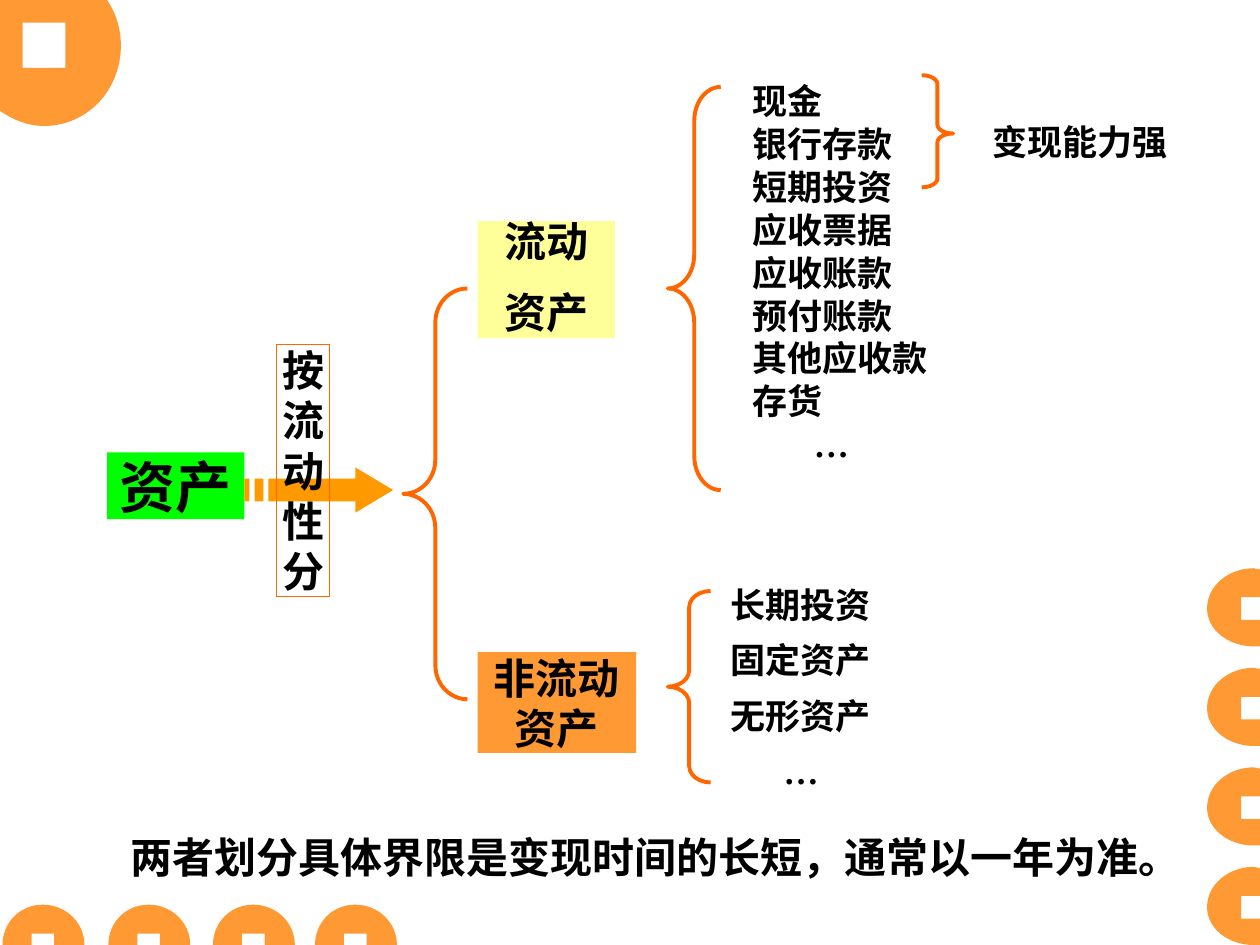
from pptx import Presentation
from pptx.dml.color import RGBColor as RGB
from pptx.enum.shapes import MSO_SHAPE as SHAPE
from pptx.enum.text import MSO_ANCHOR as ANCHOR, MSO_AUTO_SIZE as AUTO, PP_ALIGN as ALIGN
from pptx.oxml.ns import qn
from pptx.util import Inches, Pt

WIDE, HIGH = Inches(10), Inches(7.5)
COL, ROW = WIDE / 100, HIGH / 75
BLACK = RGB(0, 0, 0)
GREEN = RGB(0, 255, 0)
CREAM = RGB(255, 255, 153)
PEACH = RGB(255, 153, 51)
AMBER = RGB(255, 153, 0)
RUST = RGB(255, 102, 0)


def grid(box):
    x, y, w, h = box
    return [round(v) for v in (x * COL, y * ROW, w * COL, h * ROW)]


def part(box, left, top, wide, high):
    return box[0] + left, box[1] + top, wide, high


def paint(shape, fill=None, line=None, weight=0.75):
    shape.shadow.inherit = False
    if fill is None:
        shape.fill.background()
    else:
        shape.fill.solid()
        shape.fill.fore_color.rgb = fill
    if line is None:
        shape.line.fill.background()
    else:
        shape.line.color.rgb = line
        shape.line.width = Pt(weight)
    return shape


def write(shape, lines, size, align=ALIGN.LEFT, space=1.0, gap=0, indents=()):
    frame = shape.text_frame
    frame.word_wrap = True
    frame.auto_size = AUTO.NONE
    frame.vertical_anchor = ANCHOR.TOP
    frame.margin_left = frame.margin_right = 0
    frame.margin_top = frame.margin_bottom = 0
    indents = dict(indents)
    for i, line in enumerate(lines):
        para = frame.paragraphs[0] if i == 0 else frame.add_paragraph()
        para.text = line
        props = para._p.get_or_add_pPr()
        props.set("marL", str(round(indents.get(i, 0) * COL)))
        props.set("indent", "0")
        props.append(props.makeelement(qn("a:buNone"), {}))
        para.alignment = align
        para.line_spacing = space
        para.space_before = Pt(gap if i else 0)
        font = para.font
        font.name, font.size, font.bold = "Times New Roman", Pt(size), True
        font.color.rgb = BLACK


def block(slide, box, lines, size, fill=None, line=None, **style):
    shape = slide.shapes.add_shape(SHAPE.RECTANGLE, *grid(box))
    write(paint(shape, fill, line), lines, size, ALIGN.CENTER, **style)


def note(slide, box, line, size, align, **style):
    write(slide.shapes.add_textbox(*grid(box)), [line], size, align, **style)


def brace(slide, box, bend, kind=SHAPE.LEFT_BRACE, tip=0.5):
    shape = slide.shapes.add_shape(kind, *grid(box))
    shape.adjustments[0] = bend / min(box[2:])
    shape.adjustments[1] = tip
    paint(shape, line=RUST, weight=2.25)


def outline(slide, x, y, loops, fill):
    pen = None
    for loop in loops:
        dots = [(round((x + a) * COL), round((y + b) * ROW))
                for step in loop for a, b in zip(step[::2], step[1::2])]
        if pen is None:
            pen = slide.shapes.build_freeform(*dots[0], scale=1.0)
        else:
            pen.move_to(*dots[0])
        pen.add_line_segments(dots[1:], close=True)
    shape = paint(pen.convert_to_shape(), fill)
    path = next(shape._element.iter(qn("a:path")))
    nodes = iter(path.findall(qn("a:lnTo")))
    for step in (step for loop in loops for step in loop[1:]):
        marks = [next(nodes) for _ in step[::2]]
        if len(marks) == 3:
            curve = path.makeelement(qn("a:cubicBezTo"), {})
            marks[0].addprevious(curve)
            for mark in marks:
                curve.append(mark[0])
                path.remove(mark)


def ring(x, y, w, h):
    return [(x, y), (x + w, y), (x + w, y + h), (x, y + h)]


def coins(slide):
    corner = [(0, 8.8), (1, 9.5, 2.2, 10, 3.5, 10), (6.9, 10, 9.6, 7.2, 9.6, 3.6),
              (9.6, 2.3, 9.2, 1, 8.5, 0), (0, 0)]
    side = [(2.7, 4.1), (2.7, 2.3), (4.2, 2.3), (4.2, 0.1), (4, 0, 3.9, 0, 3.7, 0),
            (1.7, 0, 0, 1.4, 0, 3.2), (0, 4.9, 1.7, 6.2, 3.7, 6.2),
            (3.9, 6.2, 4, 6.2, 4.2, 6.2), (4.2, 4.1)]
    foot = [(3.2, 0), (1.4, 0, 0, 1.4, 0, 3.2), (2.3, 3.2), (2.3, 2.3),
            (4.1, 2.3), (4.1, 3.2), (6.5, 3.2), (6.5, 1.4, 5, 0, 3.2, 0)]
    outline(slide, 0, 0, [corner, ring(1.8, 1.8, 3.4, 3.6)], PEACH)
    for k in range(4):
        outline(slide, 95.8, 45.1 + 7.9 * k, [side], PEACH)
    for x in (25, 16.9, 8.6, 0.2):
        outline(slide, x, 71.8, [foot], PEACH)


def arrow(slide, box):
    x, y, w, h = box
    neck, low, high = w - 3, h / 4, h * 3 / 4
    head = [(neck, 0), (neck, low), (1.9, low), (1.9, high),
            (neck, high), (neck, h), (w, h / 2)]
    bars = [ring(left, low, wide, h / 2) for left, wide in ((0.8, 0.7), (0, 0.4))]
    outline(slide, x, y, [head, *bars], AMBER)


def root(slide, box):
    block(slide, part(box, 0, 8.5, 10.9, 5.3), ["资产"], 32, GREEN)
    brace(slide, part(box, 23.5, -4.5, 5.1, 32.6), 2.7)
    arrow(slide, part(box, 10.9, 9.7, 11.8, 3.6))
    block(slide, part(box, 13.45, -0.07, 4.2, 20), ["按流动性分"], 24, line=RUST)


def items(slide, slot, box, lines, space, inset):
    holder = slide.placeholders[slot]
    holder.left, holder.top, holder.width, holder.height = grid(box)
    write(holder, lines, 20, space=space, gap=12.5,
          indents={len(lines) - 1: inset})


def current(slide, box):
    block(slide, part(box, 0, 10.65, 10.9, 9.3), ["流动", "资产"], 24, CREAM,
          space=0.9, gap=15)
    brace(slide, part(box, 15.1, 0, 4.2, 32), 2.7)
    lines = ["现金", "银行存款", "短期投资", "应收票据", "应收账款",
             "预付账款", "其他应收款", "存货", "…"]
    items(slide, 1, part(box, 21.8, 0.85, 14.3, 28.9), lines, 0.5, 4.9)
    brace(slide, part(box, 35.25, -0.93, 2.5, 8.9), 0.7, SHAPE.RIGHT_BRACE, 0.52)
    note(slide, part(box, 39.45, 2.7, 16.8, 3.3), "变现能力强", 20, ALIGN.CENTER)


def fixed(slide, box):
    block(slide, part(box, 0, 4.85, 12.6, 8), ["非流动资产"], 24, PEACH)
    brace(slide, part(box, 15.1, 0, 3.4, 15.2), 1.3)
    lines = ["长期投资", "固定资产", "无形资产", "…"]
    items(slide, 2, part(box, 20.1, 0.05, 14.3, 15.9), lines, 0.8, 4.2)


def main():
    deck = Presentation()
    deck.slide_width, deck.slide_height = WIDE, HIGH
    slide = deck.slides.add_slide(deck.slide_layouts[3])
    title = slide.shapes.title.element
    title.getparent().remove(title)
    coins(slide)
    note(slide, (4.3, 67.1, 91.5, 5.6), "两者划分具体界限是变现时间的长短，通常以一年为准。",
         24, ALIGN.JUSTIFY, space=0.7, indents={0: 6.07})
    root(slide, (8.5, 27.4, 28.6, 20))
    current(slide, (37.9, 6.9, 56.3, 32))
    fixed(slide, (37.9, 46.9, 34.5, 15.9))
    deck.save("out.pptx")


if __name__ == "__main__":
    main()
